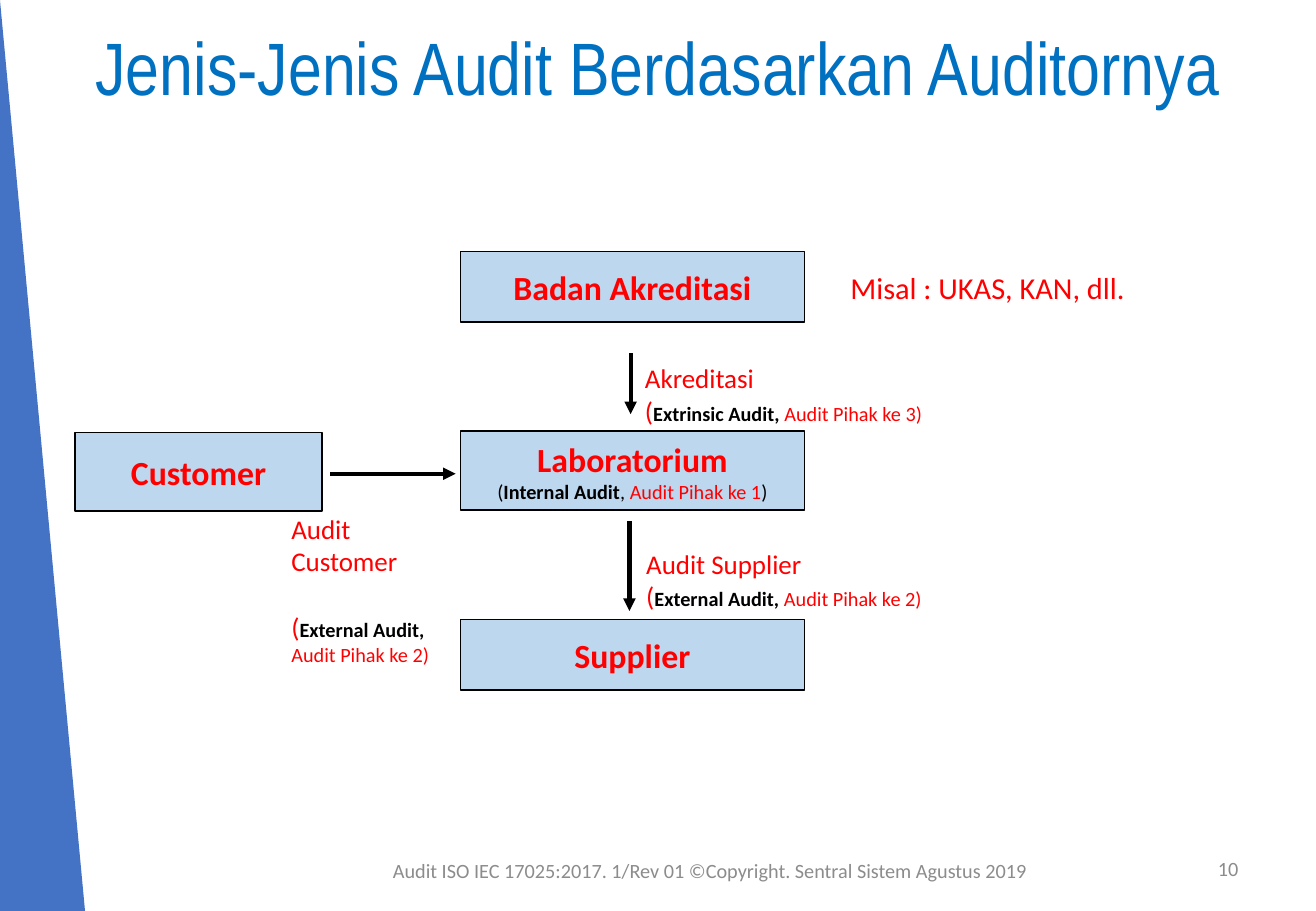
from dataclasses import dataclass

from pptx import Presentation
from pptx.dml.color import RGBColor
from pptx.enum.shapes import MSO_CONNECTOR, MSO_SHAPE
from pptx.enum.text import MSO_ANCHOR, MSO_AUTO_SIZE, PP_ALIGN
from pptx.oxml.ns import qn
from pptx.util import Inches, Pt
from lxml.etree import SubElement


@dataclass(frozen=True)
class Theme:
    """Colours, fonts and type sizes of the slide."""
    title: RGBColor = RGBColor(0x00, 0x70, 0xC0)
    wedge: RGBColor = RGBColor(0x44, 0x72, 0xC4)
    box: RGBColor = RGBColor(0xBD, 0xD7, 0xEE)
    red: RGBColor = RGBColor(0xFF, 0x00, 0x00)
    black: RGBColor = RGBColor(0x00, 0x00, 0x00)
    grey: RGBColor = RGBColor(0x8C, 0x8C, 0x8C)
    title_font: str = "Arial Narrow"
    body_font: str = "Calibri"
    title_size: int = 44
    box_size: int = 20
    example_size: int = 18
    label_size: int = 16
    small_size: int = 12
    box_line: float = 1
    arrow_line: float = 2.5


THEME = Theme()
WIDTH, HEIGHT = 10.83, 7.5
TITLE = "Jenis-Jenis Audit Berdasarkan Auditornya"
WEDGE = [(0, 0), (0.7, HEIGHT), (0, HEIGHT)]


def heading(text):
    """Return the bold red span of a box."""
    return text, THEME.box_size, THEME.red, True


def small(text, color=THEME.black, bold=False):
    """Return a small span."""
    return text, THEME.small_size, color, bold


def label(name, kind, party):
    """Return the two lines that describe an audit."""
    return [[(name, THEME.label_size, THEME.red, False)],
            [("(", THEME.label_size, THEME.red, False),
             small(f"{kind}, ", bold=True), small(f"Audit Pihak ke {party})", THEME.red)]]


LAB_NOTE = [small("("), small("Internal Audit", bold=True), small(", "),
            small("Audit Pihak ke 1", THEME.red), small(")")]
BOXES = [
    ((3.79, 2.07, 2.83, 0.58), [[heading("Badan Akreditasi")]]),
    ((3.79, 3.55, 2.83, 0.65), [[heading("Laboratorium")], LAB_NOTE]),
    ((3.79, 5.1, 2.83, 0.58), [[heading("Supplier")]]),
    ((0.62, 3.56, 2.03, 0.65), [[heading("Customer")]]),
]
ARROWS = [
    (5.19, 2.91, 5.19, 3.41),
    (5.18, 4.29, 5.18, 5.03),
    (2.72, 3.9, 3.75, 3.9),
]
EXAMPLE = [[("Misal : UKAS, KAN, dll.", THEME.example_size, THEME.red, False)]]
FOOTER = "Audit ISO IEC 17025:2017. 1/Rev 01 ©Copyright. Sentral Sistem Agustus 2019"
NOTES = [
    ((6.9, 2.17, 3.9, 0.4), EXAMPLE, PP_ALIGN.LEFT, MSO_ANCHOR.TOP, 0),
    ((5.21, 2.93, 2.67, 0.64), label("Akreditasi", "Extrinsic Audit", 3),
     PP_ALIGN.LEFT, MSO_ANCHOR.TOP, 0),
    ((5.22, 4.46, 2.83, 0.64), label("Audit Supplier", "External Audit", 2),
     PP_ALIGN.LEFT, MSO_ANCHOR.TOP, 0),
    ((2.3, 4.17, 1.6, 0.84), label("Audit Customer", "External Audit", 2),
     PP_ALIGN.LEFT, MSO_ANCHOR.TOP, 19.5),
    ((7.76, 6.95, 2.53, 0.4), [[small("10", THEME.grey)]],
     PP_ALIGN.RIGHT, MSO_ANCHOR.MIDDLE, 0),
    ((2.76, 6.83, 6.17, 0.67), [[small(FOOTER, THEME.grey)]],
     PP_ALIGN.CENTER, MSO_ANCHOR.MIDDLE, 0),
]


def style(span, size, color, bold, font=THEME.body_font):
    """Format one span."""
    span.font.name = font
    span.font.size = Pt(size)
    span.font.bold = bold
    span.font.color.rgb = color


def write(frame, lines, align, anchor, gap=0):
    """Fill a text frame with lines of formatted spans."""
    frame.word_wrap = True
    frame.vertical_anchor = anchor
    for index, spans in enumerate(lines):
        para = frame.add_paragraph() if index else frame.paragraphs[0]
        para.alignment = align
        if index and gap:
            para.space_before = Pt(gap)
        for text, *look in spans:
            span = para.add_run()
            span.text = text
            style(span, *look)


def add_title(page):
    """Place the title across the top."""
    title = page.shapes.title
    title.left, title.top = Inches(0), Inches(0)
    title.width, title.height = Inches(WIDTH), Inches(1.18)
    frame = title.text_frame
    frame.text = TITLE
    frame.auto_size = MSO_AUTO_SIZE.NONE
    frame.vertical_anchor = MSO_ANCHOR.MIDDLE
    para = frame.paragraphs[0]
    para.alignment = PP_ALIGN.CENTER
    para.line_spacing = 0.9
    style(para.runs[0], THEME.title_size, THEME.title, False, THEME.title_font)


def add_wedge(page):
    """Draw the triangle along the left edge."""
    start, *others = [(Inches(x), Inches(y)) for x, y in WEDGE]
    builder = page.shapes.build_freeform(*start)
    builder.add_line_segments(others, close=True)
    wedge = builder.convert_to_shape()
    wedge.shadow.inherit = False
    wedge.fill.solid()
    wedge.fill.fore_color.rgb = THEME.wedge
    wedge.line.fill.background()


def add_box(page, place, lines):
    """Draw one party as a filled rectangle."""
    box = page.shapes.add_shape(MSO_SHAPE.RECTANGLE, *map(Inches, place))
    box.shadow.inherit = False
    box.fill.solid()
    box.fill.fore_color.rgb = THEME.box
    box.line.color.rgb = THEME.black
    box.line.width = Pt(THEME.box_line)
    write(box.text_frame, lines, PP_ALIGN.CENTER, MSO_ANCHOR.MIDDLE)


def add_arrow(page, ends):
    """Draw one straight arrow."""
    arrow = page.shapes.add_connector(MSO_CONNECTOR.STRAIGHT, *map(Inches, ends))
    arrow.line.color.rgb = THEME.black
    arrow.line.width = Pt(THEME.arrow_line)
    SubElement(arrow.line._get_or_add_ln(), qn("a:tailEnd"), type="triangle")
    SubElement(arrow._element.spPr, qn("a:effectLst"))


def main():
    """Build and save the slide."""
    deck = Presentation()
    deck.slide_width, deck.slide_height = Inches(WIDTH), Inches(HEIGHT)
    page = deck.slides.add_slide(deck.slide_layouts[5])
    add_title(page)
    add_wedge(page)
    for place, lines in BOXES:
        add_box(page, place, lines)
    for ends in ARROWS:
        add_arrow(page, ends)
    for place, *content in NOTES:
        note = page.shapes.add_textbox(*map(Inches, place))
        write(note.text_frame, *content)
    deck.save("out.pptx")


if __name__ == "__main__":
    main()
